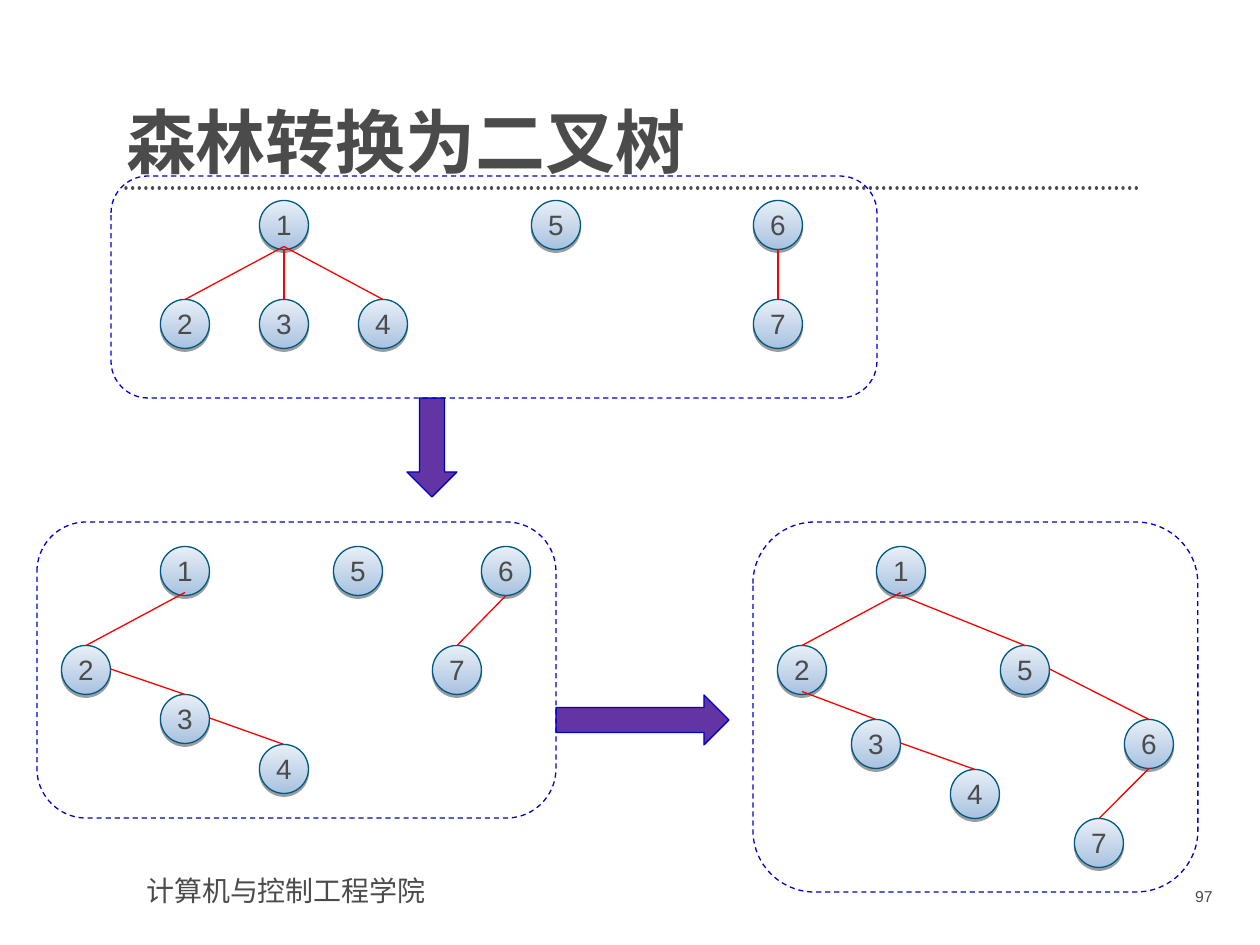
"""Build a slide showing how a forest is converted into a binary tree."""
from lxml.etree import SubElement
from pptx import Presentation
from pptx.dml.color import RGBColor
from pptx.enum.dml import MSO_LINE
from pptx.enum.shapes import MSO_CONNECTOR, MSO_SHAPE
from pptx.enum.text import MSO_ANCHOR, PP_ALIGN
from pptx.oxml.ns import qn
from pptx.util import Pt

PX = 914400 // 126
GREY = RGBColor(0x4B, 0x4B, 0x4B)
NODE_DARK = RGBColor(0xA9, 0xC2, 0xE0)
NODE_LIGHT = RGBColor(0xE8, 0xEF, 0xF7)
NODE_LINE = RGBColor(0x00, 0x59, 0x84)
RED = RGBColor(0xFF, 0x00, 0x00)
BLUE = RGBColor(0x00, 0x00, 0xCC)
PURPLE = RGBColor(0x62, 0x34, 0xA4)
FONT = "Arial"
TITLE_FONT = "Noto Sans CJK SC"

SIZE = 49
RADIUS = SIZE / 2
TOP = (0, -RADIUS)
BOTTOM = (0, RADIUS)
RAISED = (0, RADIUS - 3)
RIGHT = (RADIUS, -1)

FOREST = (
    {1: (284, 225), 2: (185, 324), 3: (284, 324), 4: (383, 324),
     5: (556, 225), 6: (778, 225), 7: (778, 324)},
    [(1, RAISED, 2), (1, BOTTOM, 3), (1, RAISED, 4), (6, BOTTOM, 7)],
)
BINARY_TREES = (
    {1: (185, 571), 2: (86, 670), 3: (185, 719), 4: (284, 769),
     5: (358, 571), 6: (506, 571), 7: (457, 670)},
    [(1, RAISED, 2), (2, RIGHT, 3), (3, RIGHT, 4), (6, BOTTOM, 7)],
)
MERGED_TREE = (
    {1: (901, 571), 2: (802, 670), 3: (876, 744), 4: (975, 794),
     5: (1025, 670), 6: (1149, 744), 7: (1099, 843)},
    [(1, RAISED, 2), (2, RAISED, 3), (3, RIGHT, 4), (1, BOTTOM, 5),
     (5, RIGHT, 6), (6, BOTTOM, 7)],
)


def px(*lengths):
    """Turn pixel lengths into EMU."""
    return [round(n * PX) for n in lengths]


def write(shape, text, size, font=FONT, bold=False, align=PP_ALIGN.LEFT):
    """Put one formatted paragraph into a shape."""
    p = shape.text_frame.paragraphs[0]
    p.add_run().text = text
    p.alignment = align
    p.font.size, p.font.bold, p.font.name = Pt(size), bold, font
    p.font.color.rgb = GREY
    return p


def add_text(s, box, text, size, **style):
    """Add a wrapping text box."""
    tb = s.shapes.add_textbox(*px(*box))
    tb.text_frame.word_wrap = True
    write(tb, text, size, **style)
    return tb


def set_margins(tf, left=0, top=0, right=0, bottom=0):
    """Set the text margins in pixels."""
    tf.margin_left, tf.margin_top, tf.margin_right, tf.margin_bottom = px(
        left, top, right, bottom)


def add_title(s, text):
    """Add the bold heading, resting on the bottom of its box."""
    tb = add_text(s, (126, 69, 1016, 115), text, 40, font=TITLE_FONT, bold=True)
    tf = tb.text_frame
    tf.vertical_anchor = MSO_ANCHOR.BOTTOM
    set_margins(tf)
    p = tf.paragraphs[0]
    p.line_spacing = 0.9
    props = p._p.pPr.find(qn("a:defRPr"))
    SubElement(props, qn("a:ea"), typeface=TITLE_FONT)


def add_line(s, start, end, color, width):
    """Add a straight line without shadow."""
    line = s.shapes.add_connector(MSO_CONNECTOR.STRAIGHT, *px(*start, *end))
    line.line.color.rgb, line.line.width = color, Pt(width)
    SubElement(line._element.spPr, qn("a:effectLst"))
    return line


def add_rule(s):
    """Add the round-dotted rule under the title."""
    rule = add_line(s, (126, 188), (1142, 188), GREY, 1.9)
    rule.line.dash_style = MSO_LINE.ROUND_DOT
    rule.line._ln.set("cap", "rnd")


def add_shape(s, kind, box, line_color):
    """Add a thin-lined preset shape without shadow."""
    shape = s.shapes.add_shape(kind, *px(*box))
    shape.shadow.inherit = False
    shape.line.color.rgb, shape.line.width = line_color, Pt(0.75)
    return shape


def add_node(s, label, x, y):
    """Add a numbered, shaded circle centred on a point."""
    node = add_shape(s, MSO_SHAPE.OVAL, (x - RADIUS, y - RADIUS, SIZE, SIZE), NODE_LINE)
    node.fill.gradient()
    node.fill.gradient_angle = 90
    for stop, color in zip(node.fill.gradient_stops, (NODE_DARK, NODE_LIGHT)):
        stop.color.rgb = color
    effects = node._element.spPr.find(qn("a:effectLst"))
    shadow = SubElement(effects, qn("a:outerShdw"), blurRad="0", dist="20320",
                        dir="5400000", algn="ctr", rotWithShape="0")
    black = SubElement(shadow, qn("a:srgbClr"), val="000000")
    SubElement(black, qn("a:alpha"), val="38000")
    tf = node.text_frame
    tf.word_wrap = False
    tf.vertical_anchor = MSO_ANCHOR.MIDDLE
    set_margins(tf, bottom=1)
    write(node, str(label), 16, align=PP_ALIGN.CENTER)


def add_tree(s, nodes, edges):
    """Add the nodes of a tree and the edges between them."""
    for label, (x, y) in nodes.items():
        add_node(s, label, x, y)
    for parent, side, child in edges:
        start, end = (
            [a + b for a, b in zip(nodes[label], offset)]
            for label, offset in ((parent, side), (child, TOP)))
        add_line(s, start, end, RED, 0.75)


def add_arrow(s, kind, box):
    """Add a purple block arrow."""
    arrow = add_shape(s, kind, box, BLUE)
    arrow.fill.solid()
    arrow.fill.fore_color.rgb = PURPLE


def add_frame(s, box):
    """Add a dashed, rounded frame."""
    frame = add_shape(s, MSO_SHAPE.ROUNDED_RECTANGLE, box, BLUE)
    frame.fill.background()
    frame.line.dash_style = MSO_LINE.DASH


def main():
    """Build and save the slide."""
    prs = Presentation()
    prs.slide_width, prs.slide_height = px(1260, 945)
    s = prs.slides.add_slide(prs.slide_layouts[6])
    add_rule(s)
    add_text(s, (134, 867, 348, 47), "计算机与控制工程学院", 16)
    add_title(s, "森林转换为二叉树")
    add_text(s, (1100, 881, 125, 37), "97", 9, align=PP_ALIGN.RIGHT)
    for nodes, edges in (FOREST, BINARY_TREES, MERGED_TREE):
        add_tree(s, nodes, edges)
    add_arrow(s, MSO_SHAPE.DOWN_ARROW, (407, 398, 50, 99))
    add_arrow(s, MSO_SHAPE.RIGHT_ARROW, (556, 695, 173, 50))
    for box in ((111, 176, 766, 222), (37, 522, 519, 296), (753, 522, 445, 370)):
        add_frame(s, box)
    prs.save("out.pptx")


if __name__ == "__main__":
    main()
